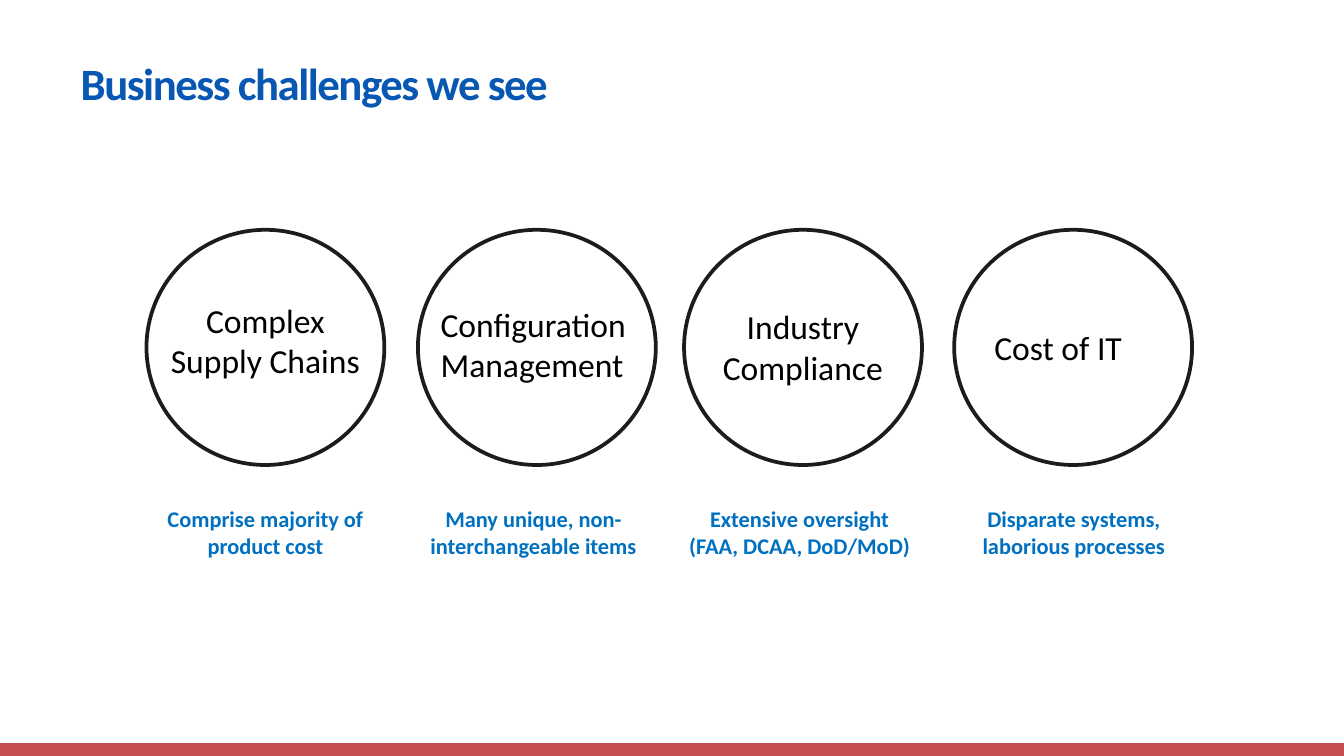
from pptx import Presentation
from pptx.dml.color import RGBColor
from pptx.enum.shapes import MSO_SHAPE
from pptx.enum.text import MSO_ANCHOR, PP_ALIGN
from pptx.util import Pt

OVAL, RECT = MSO_SHAPE.OVAL, MSO_SHAPE.RECTANGLE
LEFT, MID = PP_ALIGN.LEFT, PP_ALIGN.CENTER
TOP, CENTER = MSO_ANCHOR.TOP, MSO_ANCHOR.MIDDLE
PX = 4572
WIDE, HIGH = 2000, 1125
HUES = {"title": "0757B3", "label": "000000", "note": "0070C0",
        "ring": "1C1C1C", "bar": "C64F51"}


class Deck:
    face = "Calibri"

    def __init__(self):
        self.file = Presentation()
        self.file.slide_width, self.file.slide_height = WIDE * PX, HIGH * PX
        self.slide = self.file.slides.add_slide(self.file.slide_layouts[5])

    def hue(self, name):
        return RGBColor.from_string(HUES[name])

    def text(self, shape, text, size, hue, align, bold=False, anchor=TOP):
        frame = shape.text_frame
        frame.word_wrap = True
        frame.vertical_anchor = anchor
        frame.text = text
        line = frame.paragraphs[0]
        line.alignment = align
        font = line.font
        font.name, font.size, font.bold = self.face, Pt(size), bold
        font.color.rgb = self.hue(hue)
        return frame

    def title(self, text, x, y, w, h):
        shape = self.slide.shapes.title
        shape.left, shape.top = x * PX, y * PX
        shape.width, shape.height = w * PX, h * PX
        frame = self.text(shape, text, 24, "title", LEFT, True, CENTER)
        for run in frame.paragraphs[0].runs:
            run.font._element.set("spc", "-80")

    def box(self, x, y, w, h):
        return self.slide.shapes.add_textbox(x * PX, y * PX, w * PX, h * PX)

    def label(self, text, align, x, y, w, h):
        self.text(self.box(x, y, w, h), text, 18, "label", align)

    def note(self, text, x, y, w, h):
        frame = self.text(self.box(x, y, w, h), text, 12, "note", MID, True)
        frame.margin_left = frame.margin_right = 0
        frame.margin_top = frame.margin_bottom = 0

    def shape(self, kind, x, y, w, h):
        shape = self.slide.shapes.add_shape(kind, x * PX, y * PX, w * PX, h * PX)
        shape.shadow.inherit = False
        return shape

    def ring(self, x, y, w, h):
        shape = self.shape(OVAL, x, y, w, h)
        shape.fill.background()
        shape.line.color.rgb = self.hue("ring")
        shape.line.width = Pt(2)

    def bar(self, x, y, w, h):
        shape = self.shape(RECT, x, y, w, h)
        shape.fill.solid()
        shape.fill.fore_color.rgb = self.hue("bar")
        shape.line.fill.background()


ITEMS = [
    (218, "Complex Supply Chains", MID, (232, 436, 326, 200),
     "Comprise majority of product cost", (246, 298)),
    (622, "Configuration Management", LEFT, (636, 442, 340, 150),
     "Many unique, non-\vinterchangeable items", (612, 364)),
    (1018, "Industry Compliance", MID, (1032, 446, 326, 134),
     "Extensive oversight\v(FAA, DCAA, DoD/MoD)", (990, 400)),
    (1420, "Cost of IT", LEFT, (1460, 476, 276, 84),
     "Disparate systems,\vlaborious processes", (1410, 376)),
]


def main():
    deck = Deck()
    deck.bar(0, 1106, WIDE, HIGH - 1106)
    deck.title("Business challenges we see", 100, 84, 1750, 78)
    for x, name, align, area, note, (left, width) in ITEMS:
        deck.label(name, align, *area)
        deck.note(note, left, 752, width, 80)
        deck.ring(x, 342, 354, 350)
    deck.file.save("out.pptx")


if __name__ == "__main__":
    main()
